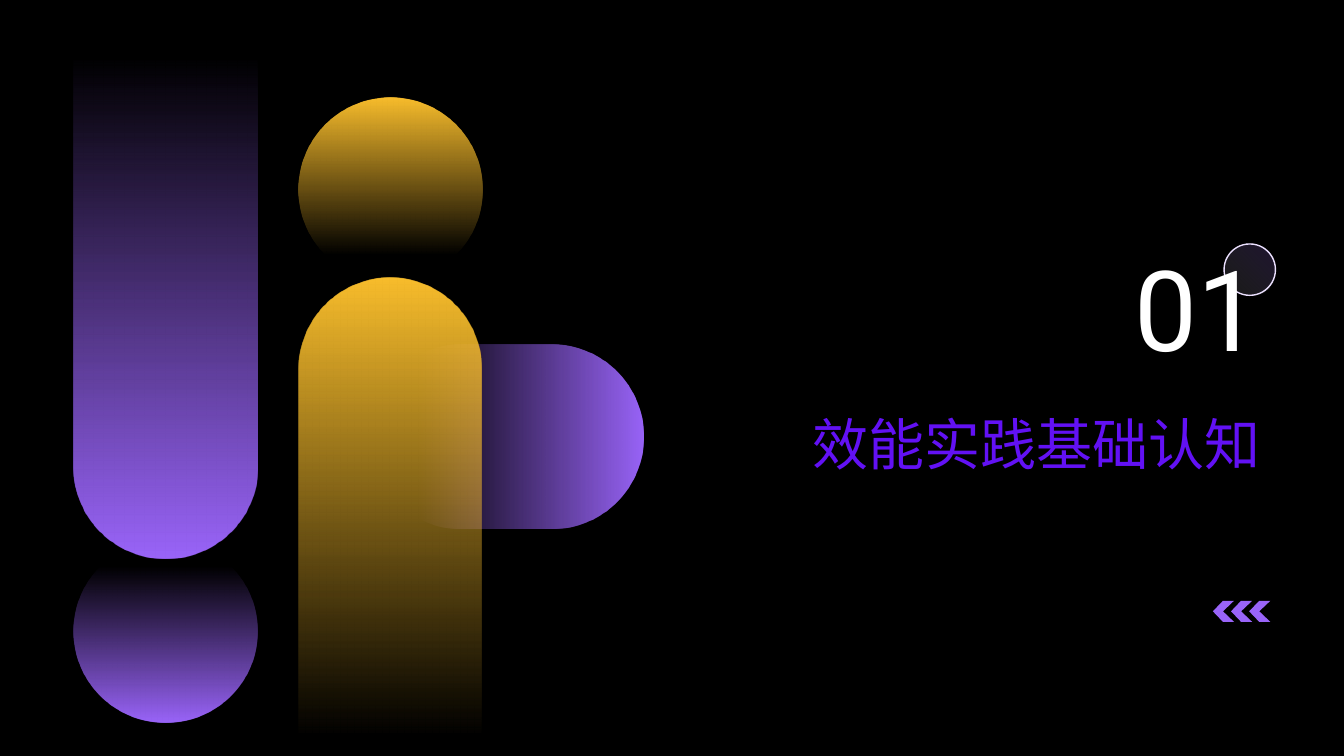
from dataclasses import dataclass

from lxml import etree
from pptx import Presentation
from pptx.dml.color import RGBColor
from pptx.enum.shapes import MSO_SHAPE
from pptx.enum.text import MSO_ANCHOR, PP_ALIGN
from pptx.oxml.ns import qn
from pptx.util import Inches, Pt

RECTANGLE = MSO_SHAPE.RECTANGLE
OVAL = MSO_SHAPE.OVAL
PILL = MSO_SHAPE.ROUNDED_RECTANGLE
RIGHT = PP_ALIGN.RIGHT
TOP, BOTTOM = MSO_ANCHOR.TOP, MSO_ANCHOR.BOTTOM


@dataclass(frozen=True)
class Theme:
    black: str = "000000"
    white: str = "FFFFFF"
    purple: str = "9964F8"
    violet: str = "6211F4"
    lilac: str = "EBE0FE"
    amber: str = "F7BC2C"
    number_font: str = "Roboto"
    title_font: str = "Cabin"
    number_size: int = 80
    title_size: int = 40


THEME = Theme()
SLIDE_SIZE = (13.33, 7.5)
NUMBER = "01"
TITLE = "效能实践基础认知"
BAND = 1.82

RING = (12.14, 2.42, 0.51, 0.51)
RING_STOPS = [(0, THEME.purple, 20), (100, THEME.white, 10)]

# kind, left, top, height, colour, fade end, angle, rotation
GLOWS = [
    (PILL, 4.11, 2.97, 2.72, THEME.purple, 82, 90, 90),
    (OVAL, 0.73, 5.35, BAND, THEME.purple, 85, 270, 0),
    (PILL, 0.73, -0.5, 6.04, THEME.purple, 82, 270, 0),
    (OVAL, 2.96, 0.97, BAND, THEME.amber, 85, 90, 0),
    (PILL, 2.96, 2.76, 5.87, THEME.amber, 77, 90, 0),
]

NUMBER_BOX = (10.31, 0.86, 2.29, 2.9)
TITLE_BOX = (6.67, 3.81, 5.93, 1.82)
TITLE_STOPS = [(0, THEME.violet, 100), (100, THEME.lilac, 100)]

CHEVRON_LEFT, CHEVRON_TOP, CHEVRON_STEP, CHEVRON_COUNT = 12.03, 5.96, 0.18, 3
CHEVRON = [(0.21, 0), (0.1, 0), (0, 0.105), (0.1, 0.21), (0.21, 0.21), (0.1, 0.105)]


def color(value):
    return RGBColor.from_string(value)


def set_gradient(fill, parent, stops, angle):
    fill.gradient()
    fill.gradient_angle = 360 - angle
    for stop, (position, value, _) in zip(fill.gradient_stops, stops):
        stop.position = position / 100
        stop.color.rgb = color(value)
    swatches = parent.iterfind(".//" + qn("a:gs") + "/" + qn("a:srgbClr"))
    for swatch, (_, _, opacity) in zip(swatches, stops):
        if opacity < 100:
            etree.SubElement(swatch, qn("a:alpha"), val=str(opacity * 1000))


def add_shape(page, kind, frame):
    shape = page.shapes.add_shape(kind, *map(Inches, frame))
    shape.shadow.inherit = False
    shape.line.fill.background()
    return shape


def add_text(page, frame, text, font, size, anchor, spacing):
    box = page.shapes.add_textbox(*map(Inches, frame))
    box.text_frame.word_wrap = True
    box.text_frame.vertical_anchor = anchor
    box.text_frame.text = text
    para = box.text_frame.paragraphs[0]
    para.alignment = RIGHT
    para.line_spacing = spacing
    span = para.runs[0]
    span.font.name = font
    span.font.size = Pt(size)
    return span


def add_chevrons(page):
    outlines = [
        [(Inches(CHEVRON_LEFT + index * CHEVRON_STEP + x), Inches(CHEVRON_TOP + y))
         for x, y in CHEVRON]
        for index in range(CHEVRON_COUNT)
    ]
    builder = page.shapes.build_freeform(*outlines[0][0])
    for outline in outlines:
        builder.move_to(*outline[0])
        builder.add_line_segments(outline[1:], close=True)
    chevrons = builder.convert_to_shape()
    chevrons.shadow.inherit = False
    chevrons.fill.solid()
    chevrons.fill.fore_color.rgb = color(THEME.purple)
    chevrons.line.fill.background()


def main():
    deck = Presentation()
    deck.slide_width, deck.slide_height = map(Inches, SLIDE_SIZE)
    page = deck.slides.add_slide(deck.slide_layouts[6])

    backdrop = add_shape(page, RECTANGLE, (0, 0, *SLIDE_SIZE))
    backdrop.fill.solid()
    backdrop.fill.fore_color.rgb = color(THEME.black)

    ring = add_shape(page, OVAL, RING)
    set_gradient(ring.fill, ring.element.spPr, RING_STOPS, 135)
    ring.line.color.rgb = color(THEME.lilac)
    ring.line.width = Pt(1)

    for kind, left, top, height, tint, fade, angle, rotation in GLOWS:
        glow = add_shape(page, kind, (left, top, BAND, height))
        glow.rotation = rotation
        if kind == PILL:
            glow.adjustments[0] = 0.5
        stops = [(0, tint, 100), (fade, tint, 0)]
        set_gradient(glow.fill, glow.element.spPr, stops, angle)

    number = add_text(page, NUMBER_BOX, NUMBER, THEME.number_font,
                      THEME.number_size, BOTTOM, 1.1)
    number.font.color.rgb = color(THEME.white)

    add_chevrons(page)

    title = add_text(page, TITLE_BOX, TITLE, THEME.title_font,
                     THEME.title_size, TOP, 1.3)
    set_gradient(title.font.fill, title.font.fill and title._r, TITLE_STOPS, 180)

    deck.save("out.pptx")


if __name__ == "__main__":
    main()
